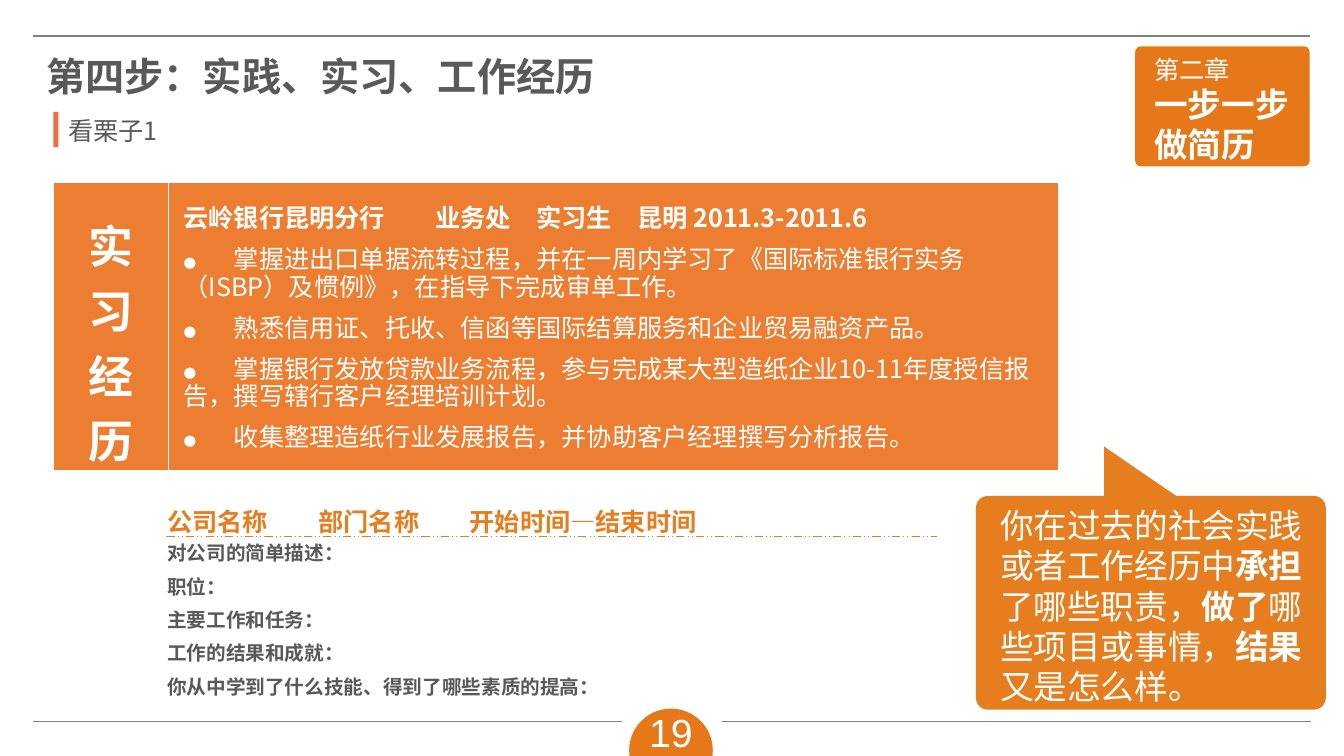
from dataclasses import dataclass
from typing import Any

from lxml import etree
from pptx import Presentation
from pptx.dml.color import RGBColor
from pptx.enum.dml import MSO_LINE
from pptx.enum.shapes import MSO_CONNECTOR, MSO_SHAPE
from pptx.enum.text import MSO_ANCHOR, MSO_AUTO_SIZE, PP_ALIGN
from pptx.oxml.ns import qn
from pptx.util import Inches, Pt

STRAIGHT = MSO_CONNECTOR.STRAIGHT
DASH = MSO_LINE.DASH_DOT_DOT
RECTANGLE, ROUNDED = MSO_SHAPE.RECTANGLE, MSO_SHAPE.ROUNDED_RECTANGLE
OVAL, TRIANGLE = MSO_SHAPE.OVAL, MSO_SHAPE.RIGHT_TRIANGLE
LEFT, CENTER = PP_ALIGN.LEFT, PP_ALIGN.CENTER
TOP, NO_FIT = MSO_ANCHOR.TOP, MSO_AUTO_SIZE.NONE

COLORS = {
    "badge": "E67819", "callout": "E67D1E", "table": "ED7D31", "accent": "F26B43",
    "text": "595959", "rule": "808080", "white": "FFFFFF",
}
CJK_FONT = "Noto Sans CJK SC"
LINE_HEIGHT = 1.2

Span = tuple[str, dict[str, Any]]
Box = tuple[float, float, float, float]


@dataclass
class Block:
    """Text of one box: each paragraph is a list of spans with format overrides."""
    paragraphs: list[list[Span]]
    size: float
    color: str
    bold: bool = False
    font: str = CJK_FONT
    line_height: float | None = LINE_HEIGHT
    gap: float = 0
    align: Any = LEFT
    tabs: tuple[tuple[float, ...], ...] = ()


@dataclass
class Figure:
    kind: Any
    box: Box
    color: str
    radius: float | None = None


@dataclass
class Rule:
    start: tuple[float, float]
    end: tuple[float, float]
    color: str
    width: float
    dash: Any = None


def rgb(name: str) -> RGBColor:
    return RGBColor.from_string(COLORS[name])


def write(frame: Any, block: Block) -> None:
    for number, spans in enumerate(block.paragraphs):
        para = frame.paragraphs[0] if number == 0 else frame.add_paragraph()
        para.alignment = block.align
        if block.line_height:
            para.line_spacing = Pt(round(block.size * block.line_height, 1))
        if number:
            para.space_before = Pt(block.gap)
        if block.tabs:
            properties = para._p.get_or_add_pPr()
            properties.set("marL", "0")
            properties.set("indent", "0")
            etree.SubElement(properties, qn("a:buNone"))
            stops = etree.SubElement(properties, qn("a:tabLst"))
            for stop in block.tabs[min(number, len(block.tabs) - 1)]:
                etree.SubElement(stops, qn("a:tab"), pos=str(Inches(stop)), algn="l")
        for text, changes in spans:
            span = para.add_run()
            span.text = text
            values = {"size": Pt(block.size), "bold": block.bold, "name": block.font, **changes}
            for name, value in values.items():
                setattr(span.font, name, value)
            span.font.color.rgb = rgb(block.color)
            etree.SubElement(span._r.get_or_add_rPr(), qn("a:ea"), typeface=block.font)


def place(holder: Any, box: Box, block: Block) -> None:
    holder.left, holder.top, holder.width, holder.height = map(Inches, box)
    frame = holder.text_frame
    options = {"word_wrap": True, "auto_size": NO_FIT, "vertical_anchor": TOP}
    for name, value in options.items():
        setattr(frame, name, value)
    write(frame, block)


def add_text(page: Any, box: Box, block: Block) -> None:
    place(page.shapes.add_textbox(*map(Inches, box)), box, block)


def add_figure(page: Any, figure: Figure) -> None:
    shape = page.shapes.add_shape(figure.kind, *map(Inches, figure.box))
    shape.shadow.inherit = False
    shape.fill.solid()
    shape.fill.fore_color.rgb = rgb(figure.color)
    shape.line.fill.background()
    if figure.radius is not None:
        shape.adjustments[0] = figure.radius


def add_rule(page: Any, rule: Rule) -> None:
    line = page.shapes.add_connector(STRAIGHT, *map(Inches, rule.start + rule.end))
    line.line.color.rgb = rgb(rule.color)
    line.line.width = Pt(rule.width)
    if rule.dash:
        line.line.dash_style = rule.dash
    etree.SubElement(line._element.spPr, qn("a:effectLst"))


def add_experience_table(page: Any) -> None:
    box = (0.53, 1.81, 9.97, 2.87)
    table = page.shapes.add_table(1, 2, *map(Inches, box)).table
    table.first_row = table.horz_banding = False
    for column, width in zip(table.columns, (1.14, 8.83)):
        column.width = Inches(width)
    for cell in table.rows[0].cells:
        cell.fill.solid()
        cell.fill.fore_color.rgb = rgb("table")
        properties = cell._tc.get_or_add_tcPr()
        for position, (side, width) in enumerate((("L", 1), ("R", 1), ("T", 1), ("B", 3))):
            border = etree.Element(qn(f"a:ln{side}"), w=str(Pt(width)))
            fill = etree.SubElement(border, qn("a:solidFill"))
            etree.SubElement(fill, qn("a:srgbClr"), val=COLORS["white"])
            properties.insert(position, border)
    heading = table.cell(0, 0)
    heading.margin_top, heading.margin_bottom = Inches(0.29), 0
    write(heading.text_frame, Block([[(sign, {})] for sign in "实习经历"], 32, "white",
                                    bold=True, line_height=None, align=CENTER))


def main() -> None:
    deck = Presentation()
    deck.slide_width, deck.slide_height = Inches(13.33), Inches(7.5)
    page = deck.slides.add_slide(deck.slide_layouts[1])
    title, body = page.placeholders

    for figure in (
        Figure(OVAL, (6.24, 7.03, 0.83, 0.83), "badge"),
        Figure(ROUNDED, (11.26, 0.46, 1.73, 1.19), "badge", 0.046),
        Figure(ROUNDED, (9.68, 4.92, 3.47, 2.12), "callout", 0.055),
        Figure(TRIANGLE, (10.95, 4.43, 0.73, 0.5), "callout"),
        Figure(RECTANGLE, (0.53, 1.11, 0.05, 0.35), "accent"),
    ):
        add_figure(page, figure)
    for rule in (
        Rule((0.33, 0.36), (12.99, 0.36), "rule", 1.5),
        Rule((0.33, 7.16), (6.17, 7.16), "rule", 0.75),
        Rule((7.16, 7.16), (13, 7.16), "rule", 0.75),
        Rule((1.65, 5.32), (9.29, 5.32), "callout", 0.75, DASH),
    ):
        add_rule(page, rule)
    add_experience_table(page)

    place(title, (0.36, 0.47, 5.7, 0.57),
          Block([[("第四步：实践、实习、工作经历", {})]], 28, "text", bold=True))
    duties = (
        "掌握进出口单据流转过程，并在一周内学习了《国际标准银行实务（ISBP）及惯例》，在指导下完成审单工作。",
        "熟悉信用证、托收、信函等国际结算服务和企业贸易融资产品。",
        "掌握银行发放贷款业务流程，参与完成某大型造纸企业10-11年度授信报告，撰写辖行客户经理培训计划。",
        "收集整理造纸行业发展报告，并协助客户经理撰写分析报告。",
    )
    employer = [("云岭银行昆明分行\t业务处\t实习生\t昆明 2011.3-2011.6", {"bold": True})]
    experience = [employer] + [[("●\t", {"size": Pt(9)}), (duty, {})] for duty in duties]
    place(body, (1.72, 1.99, 8.81, 2.44),
          Block(experience, 18, "white", line_height=0.9 * LINE_HEIGHT, gap=10,
                tabs=((2.4, 3.66, 5.15), (0.23,))))
    body.element.getparent().append(body.element)

    strong = {"bold": True}
    advice = [("你在过去的社会实践或者工作经历中", {}), ("承担", strong), ("了哪些职责，", {}),
              ("做了", strong), ("哪些项目或事情，", {}), ("结果", strong), ("又是怎么样。", {})]
    prompts = ("对公司的简单描述：", "职位：", "主要工作和任务：", "工作的结果和成就：",
               "你从中学到了什么技能、得到了哪些素质的提高：")
    columns = "公司名称\t部门名称\t开始时间—结束时间"
    for box, block in (
        ((11.35, 0.49, 1.36, 0.4), Block([[("第二章", {})]], 18, "white")),
        ((11.35, 0.78, 1.63, 0.91), Block([[("一步一步做简历", {})]], 24, "white", bold=True)),
        ((6.34, 6.98, 0.73, 0.4),
         Block([[("19", {})]], 28, "white", font="Arial", line_height=None)),
        ((0.58, 1.09, 1.67, 0.4), Block([[("看栗子1", {})]], 18, "text")),
        ((9.82, 4.96, 3.5, 2.12), Block([advice], 24, "white")),
        ((1.56, 4.97, 7.95, 0.4),
         Block([[(columns, {})]], 18, "callout", bold=True, tabs=((1.74, 3.64),))),
        ((1.56, 5.32, 7.56, 1.75),
         Block([[(prompt, {})] for prompt in prompts], 14, "text", bold=True, gap=7)),
    ):
        add_text(page, box, block)
    deck.save("out.pptx")


if __name__ == "__main__":
    main()
